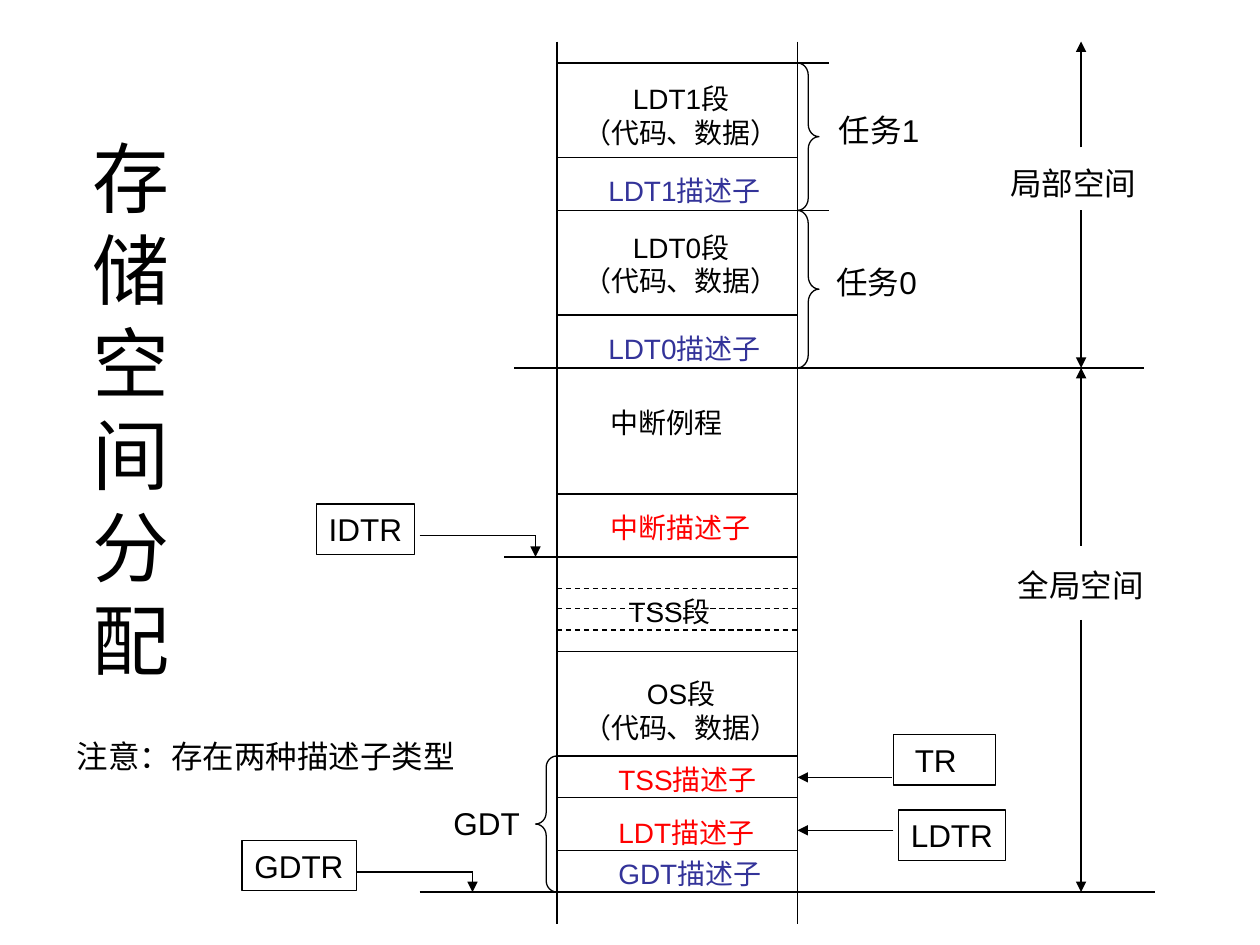
"""Build a slide showing how segments and descriptor tables share memory."""
from lxml import etree
from pptx import Presentation
from pptx.dml.color import RGBColor
from pptx.enum.dml import MSO_LINE
from pptx.enum.shapes import MSO_CONNECTOR as Connector, MSO_SHAPE as Shape
from pptx.enum.text import MSO_ANCHOR as Anchor, PP_ALIGN as Align
from pptx.oxml.ns import qn
from pptx.util import Inches, Pt

BLACK, RED, BLUE = "000000", "FF0000", "333399"
LEFT, RIGHT, TOP, BOTTOM = 4.42, 6.33, 0.33, 7.33
GLOBAL_TOP, GLOBAL_BOTTOM = 2.92, 7.08
SPAN_X = 8.58

TITLE = "存储空间分配"
BORDERS = [
    (LEFT, 6.58, 0.5), (LEFT, RIGHT, 1.25), (LEFT, 6.58, 1.67),
    (LEFT, RIGHT, 2.5), (4.08, 9.08, GLOBAL_TOP), (LEFT, RIGHT, 3.92),
    (4, RIGHT, 4.42), (LEFT, RIGHT, 5.17), (LEFT, RIGHT, 6),
    (LEFT, RIGHT, 6.33), (LEFT, RIGHT, 6.75), (3.33, 9.17, GLOBAL_BOTTOM),
]
DASHED_BORDERS = [4.67, 4.83, 5]
SEGMENTS = [("LDT1段", 0.6), ("LDT0段", 1.78), ("OS段", 5.32)]
CELL_LABELS = [
    ("LDT1描述子", 4.73, 1.33, BLUE), ("LDT0描述子", 4.73, 2.58, BLUE),
    ("中断例程", 4.75, 3.17, BLACK), ("中断描述子", 4.75, 4, RED),
    ("TSS段", 4.89, 4.67, BLACK), ("TSS描述子", 4.81, 6, RED),
    ("LDT描述子", 4.81, 6.42, RED), ("GDT描述子", 4.81, 6.75, BLUE),
]
SIDE_LABELS = [
    ("任务1", 6.56, 0.83, 0.9), ("任务0", 6.54, 2.04, 0.9),
    ("局部空间", 7.92, 1.25, 1.2), ("全局空间", 7.98, 4.44, 1.2),
    ("GDT", 3.5, 6.33, 0.73), ("注意：存在两种描述子类型", 0.51, 5.8, 3.2),
]
REGISTERS = [
    ("IDTR", 2.51, 4, 0.78, 0.1), ("GDTR", 1.92, 6.67, 0.91, 0.1),
    ("TR", 7.09, 5.83, 0.81, 0.17), ("LDTR", 7.13, 6.43, 0.85, 0.1),
]
BRACES = [
    (Shape.RIGHT_BRACE, RIGHT, 0.5, 1.67),
    (Shape.RIGHT_BRACE, RIGHT, 1.67, GLOBAL_TOP),
    (Shape.LEFT_BRACE, 4.25, 6, GLOBAL_BOTTOM),
]
ELBOWS = [(3.33, 4.25, 4.25, 4.42), (2.83, 6.92, 3.75, GLOBAL_BOTTOM)]
POINTERS = [(7.08, 6.17), (7.09, 6.59)]
SPAN_ARROWS = [(1.17, TOP), (1.67, GLOBAL_TOP), (4.33, GLOBAL_TOP), (4.92, GLOBAL_BOTTOM)]


def color(value):
    return RGBColor.from_string(value)


def style_line(line):
    line.color.rgb = color(BLACK)
    line.width = Pt(0.75)


def add_line(slide, x1, y1, x2, y2, arrow=False, dashed=False):
    connector = slide.shapes.add_connector(
        Connector.STRAIGHT, Inches(x1), Inches(y1), Inches(x2), Inches(y2))
    style_line(connector.line)
    if dashed:
        connector.line.dash_style = MSO_LINE.DASH
    properties = connector.element.spPr
    if arrow:
        etree.SubElement(properties.find(qn("a:ln")), qn("a:tailEnd"), type="triangle")
    etree.SubElement(properties, qn("a:effectLst"))


def write(shape, lines, size, value=BLACK, align=Align.LEFT, anchor=Anchor.TOP, indent=0.1):
    frame = shape.text_frame
    frame.word_wrap = True
    frame.vertical_anchor = anchor
    frame.margin_left = Inches(indent)
    frame.margin_right = 0
    frame.text = "\n".join(lines)
    for paragraph in frame.paragraphs:
        paragraph.alignment = align
        paragraph.font.name = "Arial"
        paragraph.font.size = Pt(size)
        paragraph.font.color.rgb = color(value)


def add_text(slide, lines, x, y, width, height, size, **style):
    box = slide.shapes.add_textbox(Inches(x), Inches(y), Inches(width), Inches(height))
    write(box, lines, size, **style)


def add_outline(slide, kind, x, y, width, height):
    shape = slide.shapes.add_shape(kind, Inches(x), Inches(y), Inches(width), Inches(height))
    shape.shadow.inherit = False
    shape.fill.background()
    style_line(shape.line)
    return shape


def add_memory(slide):
    for x in (LEFT, RIGHT):
        add_line(slide, x, TOP, x, BOTTOM)
    for x1, x2, y in BORDERS:
        add_line(slide, x1, y, x2, y)
    for y in DASHED_BORDERS:
        add_line(slide, LEFT, y, RIGHT, y, dashed=True)
    for name, y in SEGMENTS:
        add_text(slide, [name, "（代码、数据）"], 4.53, y, 1.75, 0.64, 16,
                 align=Align.CENTER, indent=0)
    for text, x, y, value in CELL_LABELS:
        add_text(slide, [text], x, y, 1.46, 0.37, 16, value=value)


def add_surroundings(slide):
    for text, x, y, width in SIDE_LABELS:
        add_text(slide, [text], x, y, width, 0.4, 18)
    for text, x, y, width, indent in REGISTERS:
        box = add_outline(slide, Shape.RECTANGLE, x, y, width, 0.4)
        write(box, [text], 18, indent=indent)
    for kind, x, top, bottom in BRACES:
        width, height = 0.17, bottom - top
        brace = add_outline(slide, kind, x, top, width, height)
        brace.adjustments[0] = height / width / 12
    for x1, y1, x2, y2 in ELBOWS:
        add_line(slide, x1, y1, x2, y1)
        add_line(slide, x2, y1, x2, y2, arrow=True)
    for x, y in POINTERS:
        add_line(slide, x, y, RIGHT, y, arrow=True)
    for start, end in SPAN_ARROWS:
        add_line(slide, SPAN_X, start, SPAN_X, end, arrow=True)


def main():
    presentation = Presentation()
    presentation.slide_width, presentation.slide_height = Inches(10), Inches(7.5)
    slide = presentation.slides.add_slide(presentation.slide_layouts[6])
    add_text(slide, [TITLE], 0.5, 0.3, 1.08, 5.87, 44,
             align=Align.CENTER, anchor=Anchor.MIDDLE, indent=0)
    add_memory(slide)
    add_surroundings(slide)
    presentation.save("out.pptx")


if __name__ == "__main__":
    main()
